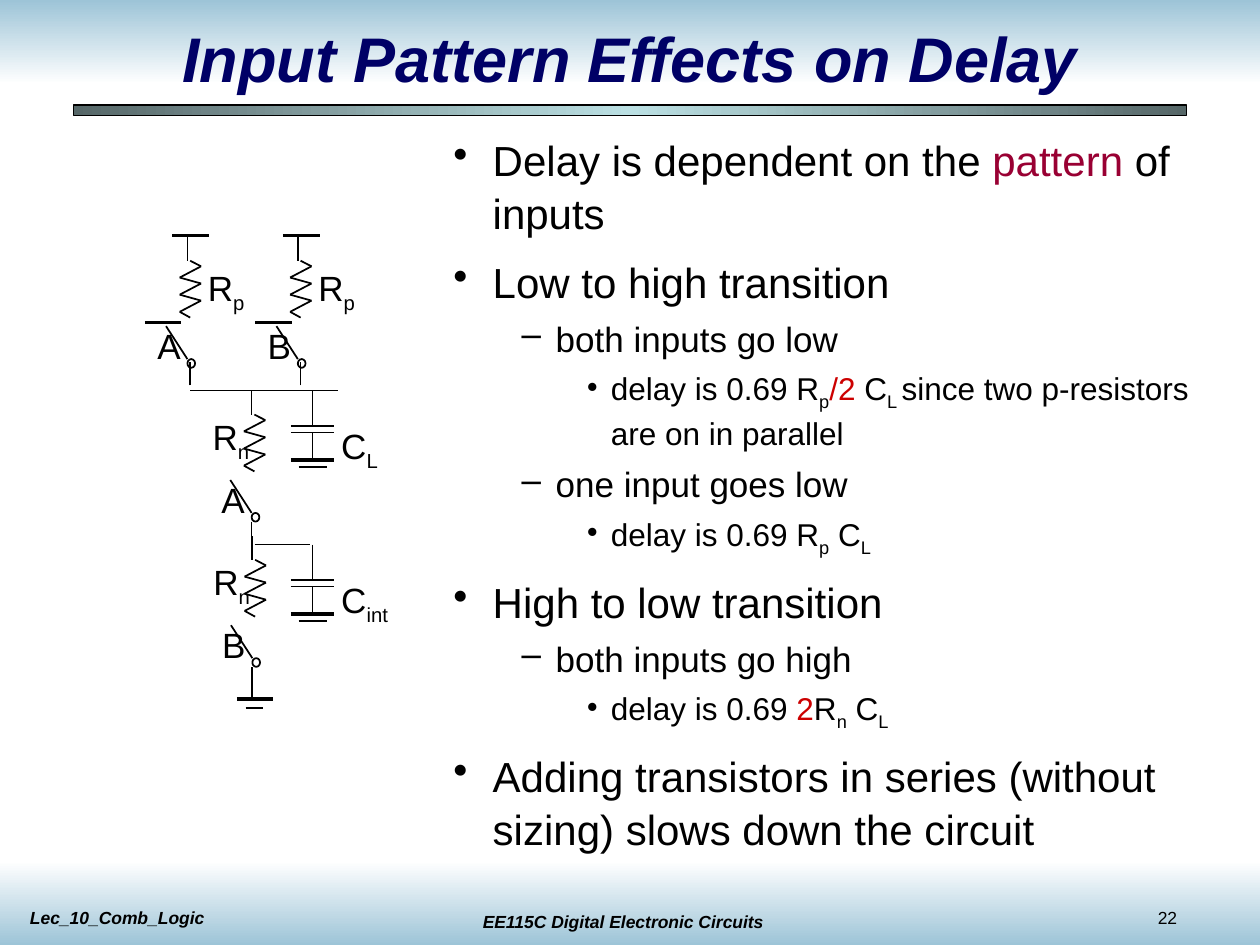
from copy import deepcopy
from itertools import pairwise

from lxml import etree
from pptx import Presentation
from pptx.dml.color import RGBColor
from pptx.enum.shapes import MSO_CONNECTOR, MSO_SHAPE
from pptx.enum.text import MSO_ANCHOR, PP_ALIGN
from pptx.oxml.ns import qn
from pptx.util import Pt

LEFT, CENTER = PP_ALIGN.LEFT, PP_ALIGN.CENTER
TOP, MIDDLE = MSO_ANCHOR.TOP, MSO_ANCHOR.MIDDLE
RECTANGLE, OVAL = MSO_SHAPE.RECTANGLE, MSO_SHAPE.OVAL
STRAIGHT = MSO_CONNECTOR.STRAIGHT

BLACK = RGBColor(0x00, 0x00, 0x00)
WHITE = RGBColor(0xFF, 0xFF, 0xFF)
NAVY = RGBColor(0x00, 0x00, 0x66)
CRIMSON = RGBColor(0x99, 0x00, 0x33)
RED = RGBColor(0xCC, 0x00, 0x00)
SKY = RGBColor(0x9D, 0xC4, 0xD7)
SLATE = RGBColor(0x56, 0x67, 0x68)
AQUA = RGBColor(0xBB, 0xE0, 0xE3)

FONT = "Arial"
SUB = "sub"
THIN, THICK = 1, 2.25

LEVELS = [
    dict(size=24, margin=22.5, indent=-22.5, before=9, bullet="•"),
    dict(size=20, margin=58.5, indent=-19.5, before=5, bullet="–"),
    dict(size=18, margin=90, indent=-13.5, before=4.5, bullet="•"),
]
BODY = [
    (0, ["Delay is dependent on the ", ("pattern", CRIMSON), " of inputs"]),
    (0, ["Low to high transition"]),
    (1, ["both inputs go low"]),
    (2, ["delay is 0.69 R", ("p", SUB), ("/2", RED), " C", ("L ", SUB),
         "since two p-resistors are on in parallel"]),
    (1, ["one input goes low"]),
    (2, ["delay is 0.69 R", ("p", SUB), " C", ("L", SUB)]),
    (0, ["High to low transition"]),
    (1, ["both inputs go high"]),
    (2, ["delay is 0.69 ", ("2", RED), "R", ("n", SUB), " C", ("L", SUB)]),
    (0, ["Adding transistors in series (without sizing) slows down the circuit"]),
]
BANDS = [
    ((0, 0, 720, 48), (SKY, WHITE), 270, None),
    ((0, 492, 720, 48), (WHITE, SKY), 270, None),
    ((42, 60, 636, 6), (SLATE, AQUA, SLATE), 180, 0.75),
]
PULL_UPS = [("A", 108.7, 149), ("B", 171.8, 149)]
PULL_DOWNS = [("A", 145.4, 236.9), ("B", 145.8, 319.9)]
CAPACITORS = [("L", 178.6, 223.2, 35.3), ("int", 178.6, 311.2, 41)]
WIRES = [(108.7, 223.2, 193, 223.2), (145.5, 311.2, 177.1, 311.2)]
GROUND = [(135.4, 399.6, 156.2, 399.6, THICK), (140.4, 404.6, 150.5, 404.6, THIN)]

ZIGZAG = [(0, 0), (6.2, 3.2), (-6, 9.6), (6.2, 13), (-6, 19.4),
          (6.2, 22.8), (-6, 29.2), (0, 32.5)]
PULL_UP_LINES = [(-1.5, 0, -1.5, -14.4, THIN), (0, 71.3, 0, 57.6, THIN),
                 (-25.9, 35.3, -5.1, 35.3, THICK), (-10.2, -14.4, 10.8, -14.4, THICK)]
PULL_DOWN_LINES = [(-1.6, 0, -1.6, -13.7, THIN), (-1.6, 61.2, -1.6, 79.7, THIN)]
CAPACITOR_LINES = [(-12.3, 39.8, 12.3, 39.8, THICK), (-8, 43.8, 8, 43.8, THIN),
                   (0, 0, 0, 20.2, THIN), (-12.3, 20.2, 12.3, 20.2, THIN),
                   (-12.3, 24, 12.3, 24, THIN), (0, 24, 0, 39.8, THIN)]


def add_runs(paragraph, pieces, size, color, bold, italic):
    for piece in pieces:
        text, style = piece if isinstance(piece, tuple) else (piece, color)
        run = paragraph.add_run()
        run.text = text
        font = run.font
        font.name, font.size, font.bold, font.italic = FONT, Pt(size), bold, italic
        font.color.rgb = color if style == SUB else style
        if style == SUB:
            run._r.get_or_add_rPr().set("baseline", "-25000")


def add_text(shapes, pieces, box, size=20, color=BLACK, bold=False, italic=False,
             align=LEFT, anchor=TOP, wrap=True):
    frame = shapes.add_textbox(*map(Pt, box)).text_frame
    frame.word_wrap, frame.vertical_anchor = wrap, anchor
    paragraph = frame.paragraphs[0]
    paragraph.alignment = align
    add_runs(paragraph, pieces, size, color, bold, italic)
    return frame


def add_body(shapes):
    frame = add_text(shapes, [], (252, 72, 438, 405))
    for index, (level, pieces) in enumerate(BODY):
        style = LEVELS[level]
        paragraph = frame.add_paragraph() if index else frame.paragraphs[0]
        paragraph.level = level
        properties = paragraph._p.get_or_add_pPr()
        properties.set("marL", str(Pt(style["margin"])))
        properties.set("indent", str(Pt(style["indent"])))
        bullet_color = etree.SubElement(properties, qn("a:buClr"))
        etree.SubElement(bullet_color, qn("a:srgbClr"), val=str(BLACK))
        etree.SubElement(properties, qn("a:buChar"), char=style["bullet"])
        paragraph.line_spacing = 1.05
        if index:
            paragraph.space_before = Pt(style["before"])
        add_runs(paragraph, pieces, style["size"], BLACK, False, False)


def add_band(shapes, box, colors, angle, line_width):
    shape = shapes.add_shape(RECTANGLE, *map(Pt, box))
    shape.shadow.inherit = False
    shape.fill.gradient()
    shape.fill.gradient_angle = angle
    stop_list = shape._element.spPr.find(".//" + qn("a:gsLst"))
    for _ in colors[2:]:
        stop_list.append(deepcopy(stop_list[0]))
    for index, (stop, color) in enumerate(zip(shape.fill.gradient_stops, colors)):
        stop.position = index / (len(colors) - 1)
        stop.color.rgb = color
    if line_width:
        shape.line.color.rgb = BLACK
        shape.line.width = Pt(line_width)
    else:
        shape.line.fill.background()


def add_line(shapes, x1, y1, x2, y2, width=THIN):
    connector = shapes.add_connector(STRAIGHT, Pt(x1), Pt(y1), Pt(x2), Pt(y2))
    connector.line.color.rgb = BLACK
    connector.line.width = Pt(width)
    etree.SubElement(connector._element.spPr, qn("a:effectLst"))


def add_lines(shapes, lines, x, y):
    for x1, y1, x2, y2, width in lines:
        add_line(shapes, x + x1, y + y1, x + x2, y + y2, width)


def add_switch(shapes, name, x, y, lines, subscript, label_x, label_y):
    for start, end in pairwise(ZIGZAG):
        add_lines(shapes, [(*start, *end, THIN)], x, y)
    contact = shapes.add_shape(OVAL, Pt(x - 1.6), Pt(y + 56.2), Pt(4.4), Pt(5))
    contact.shadow.inherit = False
    contact.fill.background()
    contact.line.color.rgb = BLACK
    contact.line.width = Pt(THIN)
    add_lines(shapes, [(-13.8, 37.4, -1.6, 56.2, THIN)] + lines, x, y)
    add_text(shapes, [name], (x - 25.9, y + 32.8, 18.7, 31.5))
    add_text(shapes, ["R", (subscript, SUB)],
             (x + label_x, y + label_y, 35.3, 34.6), wrap=False)


def add_capacitor(shapes, subscript, x, y, label_width):
    add_lines(shapes, CAPACITOR_LINES, x, y)
    add_text(shapes, ["C", (subscript, SUB)],
             (x + 9.3, y + 15.8, label_width, 34.6), wrap=False)


def main():
    presentation = Presentation()
    presentation.slide_width, presentation.slide_height = Pt(720), Pt(540)
    slide = presentation.slides.add_slide(presentation.slide_layouts[6])
    shapes = slide.shapes

    for band in BANDS:
        add_band(shapes, *band)
    add_text(shapes, ["EE115C Digital Electronic Circuits"], (254, 517, 204, 19.4),
             size=10, bold=True, italic=True, align=CENTER)
    add_text(shapes, ["22"], (654.5, 515, 60, 19.4), size=10, wrap=False)
    add_text(shapes, ["Lec_10_Comb_Logic"], (10, 515, 204, 19.4),
             size=10, bold=True, italic=True)
    add_text(shapes, ["Input Pattern Effects on Delay"], (54, 12, 612, 42), size=36,
             color=NAVY, bold=True, italic=True, align=CENTER, anchor=MIDDLE)
    add_body(shapes)

    for capacitor in CAPACITORS:
        add_capacitor(shapes.add_group_shape().shapes, *capacitor)
    for switch in PULL_UPS:
        add_switch(shapes.add_group_shape().shapes, *switch, PULL_UP_LINES, "p", 3, 0)
    for switch in PULL_DOWNS:
        add_switch(shapes.add_group_shape().shapes, *switch, PULL_DOWN_LINES, "n", -31, -3)
    add_lines(shapes, GROUND, 0, 0)
    for wire in WIRES:
        add_line(shapes, *wire)

    presentation.save("out.pptx")


if __name__ == "__main__":
    main()
